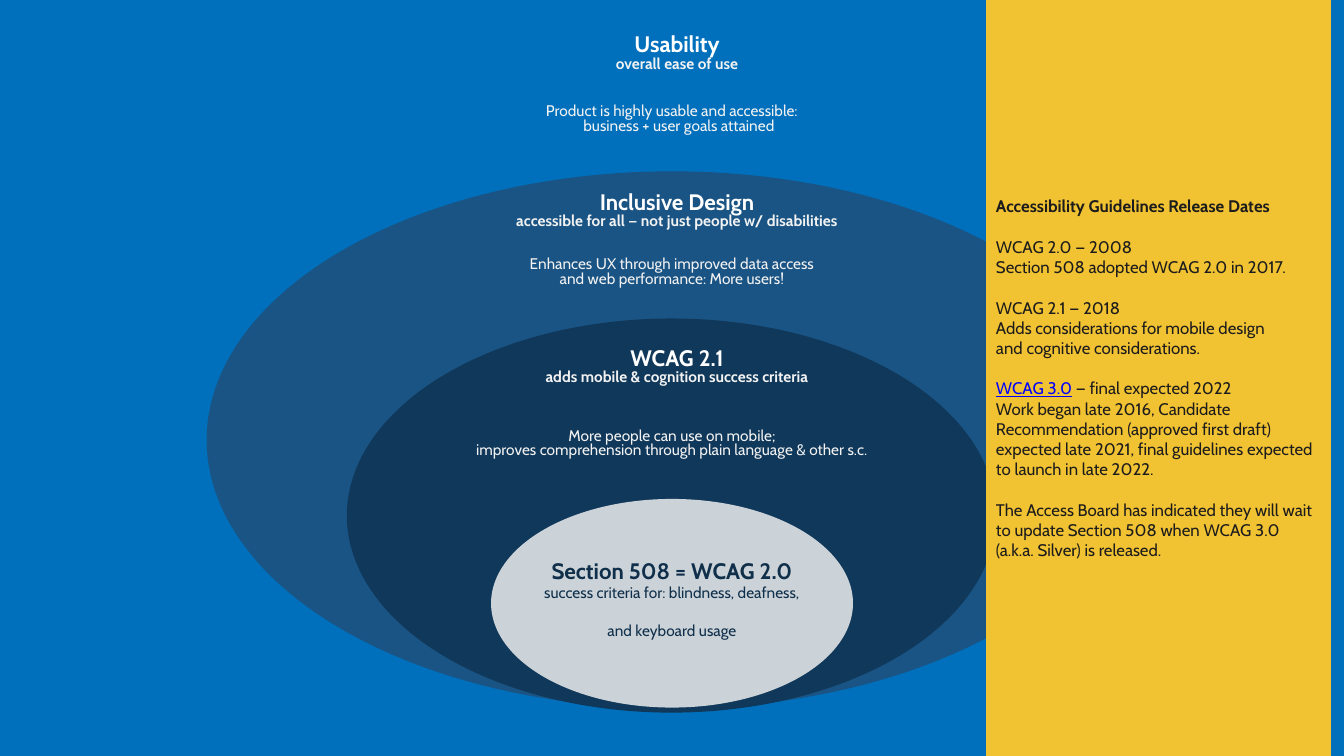
from copy import deepcopy

from pptx import Presentation
from pptx import util as u
from pptx.dml import color
from pptx.enum import shapes, text
from pptx.oxml import ns, xmlchemy

WHITE, PALE, NAVY, INK = "FFFFFF", "F2F2F2", "0F2F4A", "1D1C1D"
HEADING, SUBHEADING = (16, True, WHITE), (11, True, PALE)
BODY = (11, False, PALE)


def rgb(value):
    return color.RGBColor.from_string(value)


def set_frame(box, insets):
    """Wrap and centre vertically, with left, top, right and bottom insets."""
    frame = box.text_frame
    frame.word_wrap = True
    frame.vertical_anchor = text.MSO_ANCHOR.MIDDLE
    (frame.margin_left, frame.margin_top,
     frame.margin_right, frame.margin_bottom) = map(u.Inches, insets)
    return frame


def style_runs(para, *styles):
    """Give each run its (size, bold, colour); the last style repeats."""
    for index, span in enumerate(para.runs):
        size, bold, ink = styles[min(index, len(styles) - 1)]
        span.font.name = "Cabin"
        span.font.size = u.Pt(size)
        span.font.bold = bold
        span.font.color.rgb = rgb(ink)
    for line_break in para._p.findall(ns.qn("a:br")):
        line_break.append(deepcopy(line_break.getprevious().rPr))


def add_solid(page, kind, place, fill):
    box = page.shapes.add_shape(kind, *map(u.Inches, place))
    box.shadow.inherit = False
    box.fill.solid()
    box.fill.fore_color.rgb = rgb(fill)
    box.line.fill.background()
    return box


def add_caption(page, place, insets, lines, *styles):
    """Add centred tight text; each item of lines is one paragraph."""
    box = page.shapes.add_textbox(*map(u.Inches, place))
    frame = set_frame(box, insets)
    frame.text = "\n".join(lines)
    for para in frame.paragraphs:
        para.alignment = text.PP_ALIGN.CENTER
        para.line_spacing = 0.8
        style_runs(para, *styles)
    return frame


def add_level(page, ellipse, title, title_place, title_insets,
              note, note_place, note_insets):
    """Add one ring of the nested diagram: ellipse, heading and note."""
    if ellipse:
        place, fill = ellipse
        add_solid(page, shapes.MSO_SHAPE.OVAL, place, fill)
    add_caption(page, title_place, title_insets, [title], HEADING, SUBHEADING)
    return add_caption(page, note_place, note_insets, note, BODY)


def add_core(page, place):
    """Add the translucent innermost ellipse."""
    core = add_solid(page, shapes.MSO_SHAPE.OVAL, place, PALE)
    solid = core._element.spPr.find(ns.qn("a:solidFill"))
    alpha = xmlchemy.OxmlElement("a:alpha")
    alpha.set("val", "83000")
    solid[0].append(alpha)

    frame = set_frame(core, (0, 0, 0, 0.05))
    frame.text = ("Section 508 = WCAG 2.0\n"
                  "success criteria for: blindness, deafness,\n"
                  "and keyboard usage")
    for para in frame.paragraphs:
        para.alignment = text.PP_ALIGN.CENTER
        style_runs(para, (11, False, NAVY))
    heading, _, ending = frame.paragraphs
    heading.line_spacing = 0.8
    style_runs(heading, (16, True, NAVY))
    ending.space_before = u.Pt(13.5)


def add_release_panel(page, place):
    panel = add_solid(page, shapes.MSO_SHAPE.RECTANGLE, place, "F1C232")
    frame = set_frame(panel, (0.1, 0.1, 0.1, 0.1))
    groups = [
        ["Accessibility Guidelines Release Dates"],
        ["WCAG 2.0 — 2008", "Section 508 adopted WCAG 2.0 in 2017."],
        ["WCAG 2.1 — 2018",
         "Adds considerations for mobile design\vand cognitive considerations."],
        ["WCAG 3.0"],
        ["The Access Board has indicated they will wait to update "
         "Section 508 when WCAG 3.0 (a.k.a. Silver) is released."],
    ]
    for number, group in enumerate(groups):
        for position, line in enumerate(group):
            para = frame.add_paragraph() if number or position else frame.paragraphs[0]
            para.text = line
            para.alignment = text.PP_ALIGN.LEFT
            if number and not position:
                para.space_before = u.Pt(14.5)
            if line == "WCAG 3.0":
                para.add_run().text = " — final expected 2022"
                para.add_line_break()
                para.add_run().text = (
                    "Work began late 2016, Candidate Recommendation (approved "
                    "first draft) expected late 2021, final guidelines expected "
                    "to launch in late 2022.")
                style_runs(para, (12, False, "0000FF"), (12, False, INK))
                para.runs[0].font.underline = True
            else:
                style_runs(para, (12, number == 0, INK))


def add_accessibility_slide(deck):
    page = deck.slides.add_slide(deck.slide_layouts[6])
    page.background.fill.solid()
    page.background.fill.fore_color.rgb = rgb("0070BC")

    usability = add_level(
        page, None,
        "Usability\voverall ease of use",
        (3.22, 0.12, 6.99, 0.83), (0.1, 0.1, 0.1, 0.1),
        ["Product is highly usable and accessible:",
         "business + user goals attained"],
        (3.17, 0.82, 6.99, 0.83), (0.1, 0, 0.1, 0.1))
    goals = usability.paragraphs[1]
    goals._p.get_or_add_pPr().set("marL", str(u.Inches(0.14)))

    add_level(
        page, ((2.05, 1.7, 9.23, 5.33), "1A5484"),
        "Inclusive Design\vaccessible for all — not just people w/ disabilities",
        (3.22, 1.68, 6.99, 0.83), (0.1, 0.1, 0.1, 0.1),
        ["Enhances UX through improved data access\v"
         "and web performance: More users!"],
        (3.17, 2.34, 6.99, 0.83), (0.1, 0.1, 0.1, 0.2))
    add_level(
        page, ((3.44, 3.16, 6.44, 3.91), "10385A"),
        "WCAG 2.1\vadds mobile & cognition success criteria",
        (3.22, 3.16, 6.99, 0.87), (0.1, 0.15, 0.1, 0.05),
        ["More people can use on mobile;\v"
         "improves comprehension through plain language & other s.c."],
        (3.17, 4.18, 6.99, 0.6), (0.1, 0.1, 0.1, 0.25))
    add_core(page, (4.87, 4.95, 3.59, 2.07))
    add_release_panel(page, (9.78, 0, 3.42, 7.5))


def main():
    deck = Presentation()
    deck.slide_width, deck.slide_height = u.Inches(13.33), u.Inches(7.5)
    add_accessibility_slide(deck)
    deck.save("out.pptx")


if __name__ == "__main__":
    main()
